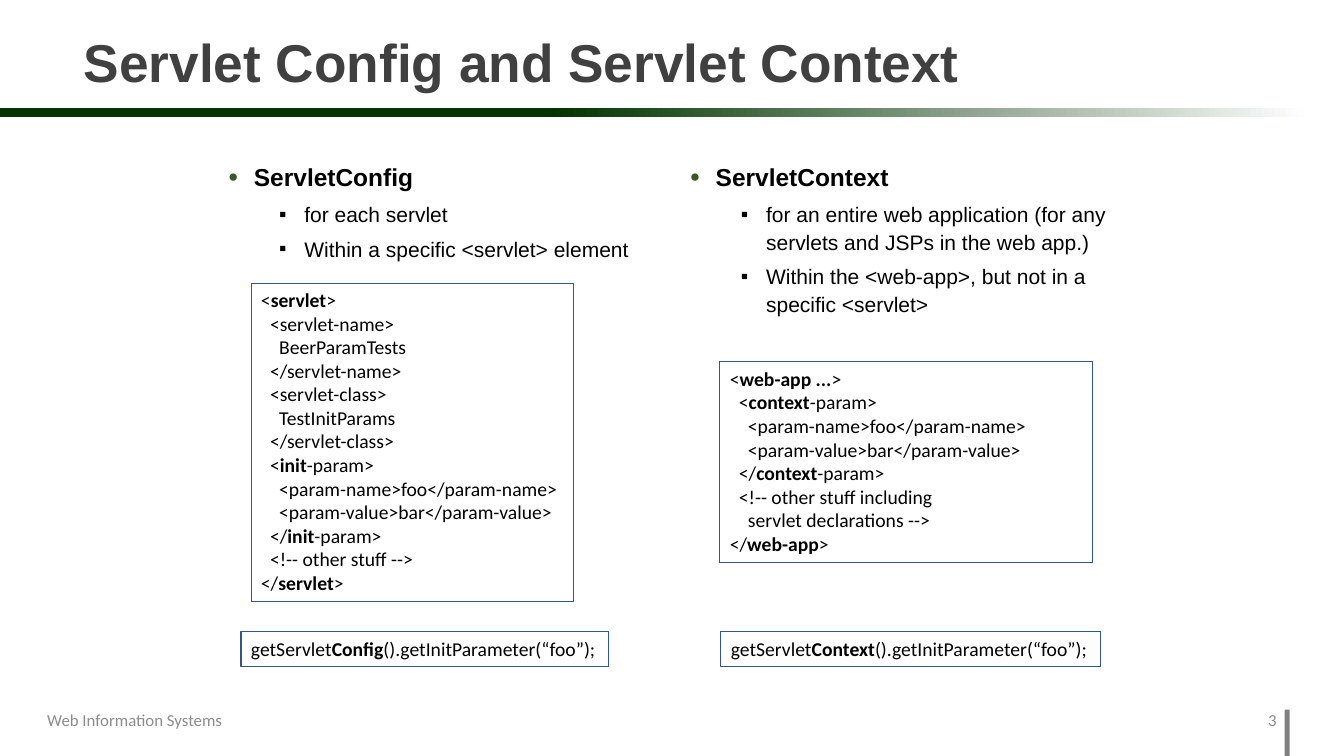
from lxml import etree
from pptx import Presentation
from pptx.dml.color import RGBColor
from pptx.enum.shapes import MSO_SHAPE
from pptx.enum.text import MSO_ANCHOR, PP_ALIGN
from pptx.oxml.ns import qn
from pptx.util import Inches, Pt

RECT = MSO_SHAPE.RECTANGLE
MIDDLE = MSO_ANCHOR.MIDDLE
LEFT, RIGHT = PP_ALIGN.LEFT, PP_ALIGN.RIGHT
STEP = 0.09  # indent of one code level

HEAD = {"name": "Arial", "size": Pt(17.5), "bold": True}
ITEM = {"name": "Arial", "size": Pt(15), "bold": False}
TITLE = {"name": "Arial", "size": Pt(38), "bold": True}
CODE = {"name": "Calibri", "size": Pt(14)}
FOOT = {"name": "Calibri", "size": Pt(12)}

# Code lines are (level, text); asterisks enclose bold words.
CONFIG = [
    (0, "<*servlet*>"),
    (1, "<servlet-name>"),
    (2, "BeerParamTests"),
    (1, "</servlet-name>"),
    (1, "<servlet-class>"),
    (2, "TestInitParams"),
    (1, "</servlet-class>"),
    (1, "<*init*-param>"),
    (2, "<param-name>foo</param-name>"),
    (2, "<param-value>bar</param-value>"),
    (1, "</*init*-param>"),
    (1, "<!-- other stuff -->"),
    (0, "</*servlet*>"),
]
CONTEXT = [
    (0, "<*web-app ...*>"),
    (1, "<*context*-param>"),
    (2, "<param-name>foo</param-name>"),
    (2, "<param-value>bar</param-value>"),
    (1, "</*context*-param>"),
    (1, "<!-- other stuff including"),
    (2, "servlet declarations -->"),
    (0, "</*web-app*>"),
]


def color(text):
    return RGBColor.from_string(text)


def place(shape, box):
    for name, value in zip(("left", "top", "width", "height"), box):
        setattr(shape, name, Inches(value))


def style(font, form, shade="000000"):
    for name, value in form.items():
        setattr(font, name, value)
    font.color.rgb = color(shade)


def write(para, text, form, shade="000000"):
    """Add the text as runs, with the words between asterisks in bold."""
    for i, part in enumerate(text.split("*")):
        if part:
            run = para.add_run()
            run.text = part
            style(run.font, form, shade)
            if i % 2:
                run.font.bold = True


def paras(frame, lines):
    """Yield a paragraph of the frame with each line."""
    for i, line in enumerate(lines):
        yield (frame.add_paragraph() if i else frame.paragraphs[0]), line


def frame(slide, box, wrap=True):
    shape = slide.shapes.add_textbox(*map(Inches, box))
    shape.text_frame.word_wrap = wrap
    return shape


def indent(para, left, first=0):
    props = para._p.get_or_add_pPr()
    props.set("marL", str(Inches(left)))
    props.set("indent", str(Inches(first)))
    return props


def bullet(para, left, char, shade=None):
    props = indent(para, left, -0.25)
    if shade:
        tint = etree.SubElement(props, qn("a:buClr"))
        etree.SubElement(tint, qn("a:srgbClr"), val=shade)
        etree.SubElement(props, qn("a:buSzPct"), val="110000")
    etree.SubElement(props, qn("a:buFont"), typeface="Arial")
    etree.SubElement(props, qn("a:buChar"), char=char)


def points(slide, box, head, items):
    text = frame(slide, box).text_frame
    for para, line in paras(text, [head, *items]):
        top = line == head
        para.line_spacing = 1.8 if top else 1.1
        para.space_before = Pt(10 if top else 5)
        if top:
            bullet(para, 0.25, "•", "385723")
        else:
            para.level = 1
            bullet(para, 0.75, "▪")
        write(para, line, HEAD if top else ITEM)


def code(slide, box, lines, wrap=False):
    shape = frame(slide, box, wrap)
    shape.line.color.rgb = color("325491")
    shape.line.width = Pt(0.75)
    for para, (level, line) in paras(shape.text_frame, lines):
        indent(para, level * STEP)
        write(para, line, CODE)


def bar(slide, box):
    shape = slide.shapes.add_shape(RECT, *map(Inches, box))
    shape.shadow.inherit = False
    shape.line.fill.background()
    return shape.fill


def header(slide, box, text):
    fill = bar(slide, (0, 1.07, 12.99, 0.09))
    fill.gradient()
    fill.gradient_angle = 0
    for stop, (pos, shade) in zip(fill.gradient_stops, [(0.42, "003300"), (1, "FFFFFF")]):
        stop.position = pos
        stop.color.rgb = color(shade)
    title = slide.shapes.title
    place(title, box)
    title.text_frame.vertical_anchor = MIDDLE
    para = title.text_frame.paragraphs[0]
    para.alignment = LEFT
    para.line_spacing = 0.9
    write(para, text, TITLE, "404040")


def footer(slide, top):
    fill = bar(slide, (12.74, top + 0.1, 0.05, 0.46))
    fill.solid()
    fill.fore_color.rgb = color("808080")
    for left, width, text, side in [
        (0.37, 3, "Web Information Systems", LEFT),
        (12.25, 0.51, "3", RIGHT),
    ]:
        text_box = frame(slide, (left, top, width, 0.4)).text_frame
        text_box.vertical_anchor = MIDDLE
        para = text_box.paragraphs[0]
        para.alignment = side
        write(para, text, FOOT, "8C8C8C")


def main():
    deck = Presentation()
    deck.slide_width, deck.slide_height = Inches(13.33), Inches(7.5)
    slide = deck.slides.add_slide(deck.slide_layouts[5])
    header(slide, (0.73, 0.17, 10.44, 0.95), "Servlet Config and Servlet Context")
    points(slide, (2.17, 1.33, 4.42, 2.42), "ServletConfig", [
        "for each servlet",
        "Within a specific <servlet> element",
    ])
    points(slide, (6.75, 1.33, 4.42, 2.26), "ServletContext", [
        "for an entire web application (for any servlets and JSPs in the web app.)",
        "Within the <web-app>, but not in a specific <servlet>",
    ])
    code(slide, (2.49, 2.81, 3.2, 3.16), CONFIG)
    code(slide, (7.14, 3.59, 3.7, 1.99), CONTEXT, True)
    for left, width, word in [(2.39, 3.65, "Config"), (7.15, 3.77, "Context")]:
        call = f"getServlet*{word}*().getInitParameter(“foo”);"
        code(slide, (left, 6.27, width, 0.34), [(0, call)])
    footer(slide, 6.94)
    deck.save("out.pptx")


if __name__ == "__main__":
    main()
